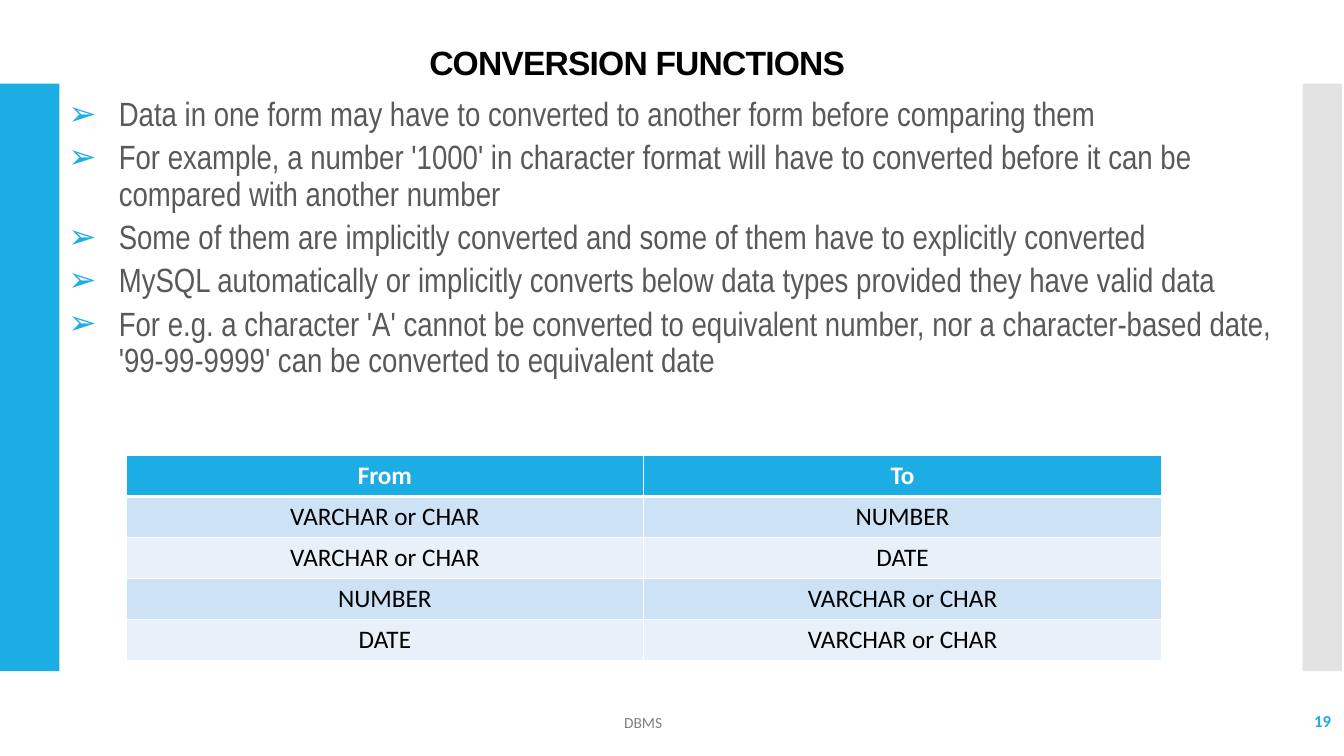
"""Build the slide on SQL conversion functions."""
from lxml import etree
from pptx import Presentation
from pptx import util as u
from pptx.dml.color import RGBColor
from pptx.enum import shapes, text
from pptx.oxml.ns import qn

BLUE, WHITE = "1CADE4", "FFFFFF"
CENTER = text.PP_ALIGN.CENTER


def tint(fill, hue):
    fill.solid()
    fill.fore_color.rgb = RGBColor.from_string(hue)


def style(para, size, face, hue, bold=False, align=None):
    para.alignment = align
    for run in para.runs:
        font = run.font
        font.size, font.name, font.bold = u.Pt(size), face, bold
        tint(font.fill, hue)


deck = Presentation()
deck.slide_width, deck.slide_height = u.Inches(13.33), u.Inches(7.5)
slide = deck.slides.add_slide(deck.slide_layouts[5])

for left, width, hue in [(0, 0.59, BLUE), (12.92, 0.39, "E3E3E3")]:
    bar = slide.shapes.add_shape(
        shapes.MSO_SHAPE.RECTANGLE,
        u.Inches(left), u.Inches(0.83), u.Inches(width), u.Inches(5.83))
    bar.shadow.inherit = False
    bar.line.fill.background()
    tint(bar.fill, hue)

title = slide.shapes.title
title.left, title.top = u.Inches(1.14), u.Inches(0.41)
title.width, title.height = u.Inches(10.44), u.Inches(0.4)
frame = title.text_frame
frame.text = "CONVERSION FUNCTIONS "
frame.auto_size = text.MSO_AUTO_SIZE.NONE
frame.vertical_anchor = text.MSO_ANCHOR.TOP
head = frame.paragraphs[0]
head.line_spacing = 0.9
style(head, 24, "Arial", "000000", True, CENTER)
head.runs[0].font._element.set("spc", "-60")

points = [
    "Data in one form may have to converted to another form before comparing them",
    "For example, a number '1000' in character format will have to converted "
    "before it can be compared with another number",
    "Some of them are implicitly converted and some of them have to explicitly converted",
    "MySQL automatically or implicitly converts below data types provided they have valid data",
    "For e.g. a character 'A' cannot be converted to equivalent number, nor a "
    "character-based date, '99-99-9999' can be converted to equivalent date",
]
body = slide.shapes.add_textbox(
    u.Inches(0.58), u.Inches(0.92), u.Inches(12.32), u.Inches(3.4)).text_frame
body.word_wrap = True
body.text = "\n".join(points)
for i, para in enumerate(body.paragraphs):
    para.line_spacing = 0.9
    para.space_before = u.Pt(5 if i else 0)
    props = para._p.get_or_add_pPr()
    props.set("marL", str(u.Inches(0.5)))
    props.set("indent", str(-u.Inches(0.5)))
    color = etree.SubElement(props, qn("a:buClr"))
    etree.SubElement(color, qn("a:srgbClr"), val=BLUE)
    etree.SubElement(props, qn("a:buFont"), typeface="Arial")
    etree.SubElement(props, qn("a:buChar"), char="➢")
    style(para, 24, "Arial Narrow", "595959")

labels = [
    ("19", 11.63, 6.95, 1.67, 12, BLUE, True, text.PP_ALIGN.RIGHT),
    ("DBMS", 3.15, 6.97, 6.46, 11, "808080", False, CENTER),
]
for words, left, top, width, size, hue, bold, align in labels:
    frame = slide.shapes.add_textbox(
        u.Inches(left), u.Inches(top), u.Inches(width), u.Inches(0.4)).text_frame
    frame.word_wrap = True
    frame.vertical_anchor = text.MSO_ANCHOR.MIDDLE
    frame.text = words
    style(frame.paragraphs[0], size, "Calibri", hue, bold, align)

rows = [
    ("From", "To"),
    ("VARCHAR or CHAR", "NUMBER"),
    ("VARCHAR or CHAR", "DATE"),
    ("NUMBER", "VARCHAR or CHAR"),
    ("DATE", "VARCHAR or CHAR"),
]
table = slide.shapes.add_table(
    len(rows), 2, u.Inches(1.25), u.Inches(4.52), u.Inches(10.27), u.Inches(2.03)).table
for r, row in enumerate(rows):
    for c, words in enumerate(row):
        cell = table.cell(r, c)
        cell.text = words
        style(cell.text_frame.paragraphs[0], 18, "Calibri",
              "000000" if r else WHITE, r == 0, CENTER)
        props = cell._tc.get_or_add_tcPr()
        for side in "LRTB":
            thick = (r, side) in [(0, "B"), (1, "T")]
            edge = etree.SubElement(
                props, qn("a:ln" + side), w=str(u.Pt(3 if thick else 1)))
            fill = etree.SubElement(edge, qn("a:solidFill"))
            etree.SubElement(fill, qn("a:srgbClr"), val=WHITE)
        tint(cell.fill, ("CDE3F5" if r % 2 else "E8F1FA") if r else BLUE)

deck.save("out.pptx")
